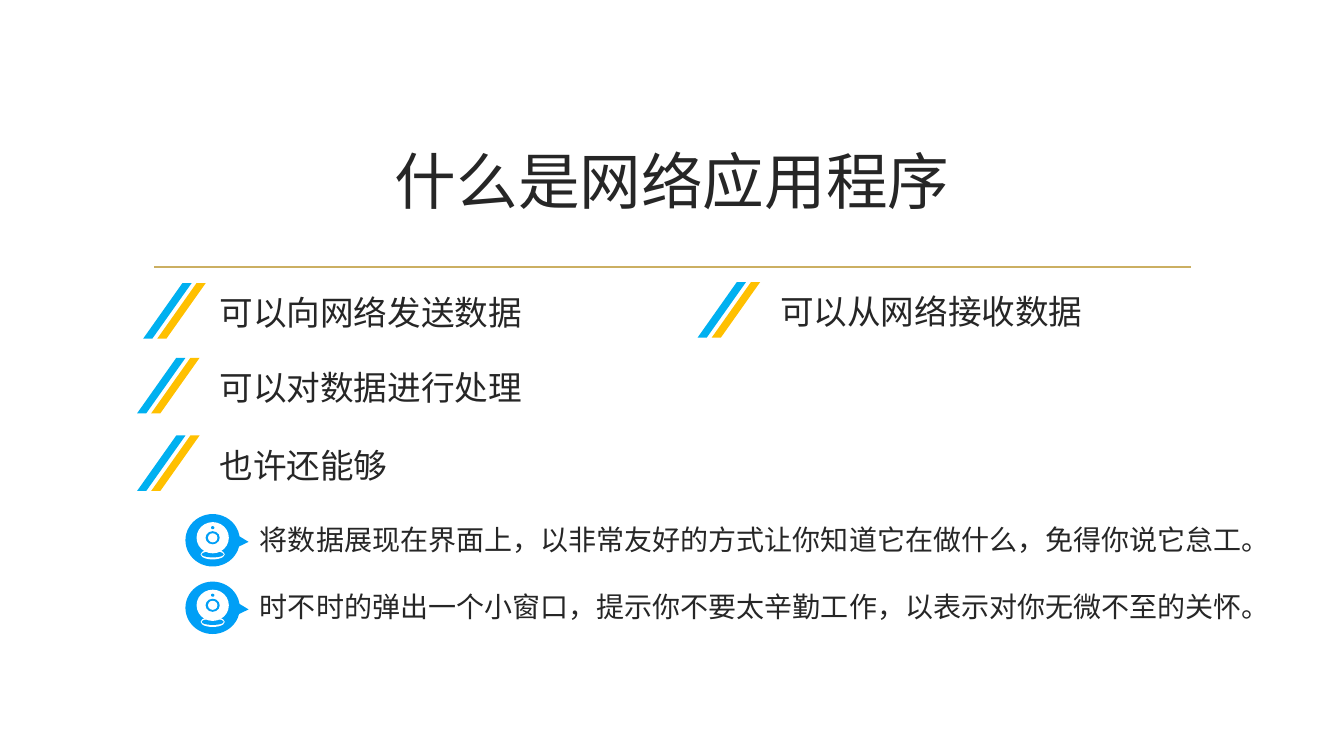
from dataclasses import dataclass

from lxml import etree
from pptx import Presentation
from pptx.dml.color import RGBColor
from pptx.enum.shapes import MSO_CONNECTOR, MSO_SHAPE
from pptx.enum.text import MSO_ANCHOR, PP_ALIGN
from pptx.oxml.ns import qn
from pptx.util import Inches, Pt

STRAIGHT = MSO_CONNECTOR.STRAIGHT
OVAL = MSO_SHAPE.OVAL
SLASH = MSO_SHAPE.PARALLELOGRAM
CALLOUT = MSO_SHAPE.OVAL_CALLOUT
MIDDLE, TOP = MSO_ANCHOR.MIDDLE, MSO_ANCHOR.TOP
LEFT, CENTER = PP_ALIGN.LEFT, PP_ALIGN.CENTER

COLORS = {
    "text": "262626",
    "rule": "CBAF62",
    "cyan": "00B0F0",
    "amber": "FFC000",
    "badge": "009FF6",
    "white": "FFFFFF",
}
SANS, SERIF = "Noto Sans CJK SC", "Times New Roman"

# The slide is a grid of 160 columns by 90 rows
COLUMNS, ROWS = 160, 90
prs = Presentation()
prs.slide_width, prs.slide_height = Inches(13.33), Inches(7.5)
slide = prs.slides.add_slide(prs.slide_layouts[6])


@dataclass(frozen=True)
class Box:
    col: float
    row: float
    cols: float
    rows: float

    def emu(self) -> tuple[int, int, int, int]:
        return (
            int(prs.slide_width * self.col / COLUMNS),
            int(prs.slide_height * self.row / ROWS),
            int(prs.slide_width * self.cols / COLUMNS),
            int(prs.slide_height * self.rows / ROWS),
        )

    def moved(self, col: float, row: float) -> "Box":
        return Box(self.col + col, self.row + row, self.cols, self.rows)


@dataclass(frozen=True)
class Ability:
    text: str
    slash_col: float
    slash_row: float
    text_col: float
    text_row: float


@dataclass(frozen=True)
class Remark:
    text: str
    row: float


def color(name: str) -> RGBColor:
    return RGBColor.from_string(COLORS[name])


def draw_shape(kind: int, box: Box, fill: str, adjustments: tuple[float, ...] = ()) -> None:
    shape = slide.shapes.add_shape(kind, *box.emu())
    shape.shadow.inherit = False
    shape.fill.solid()
    shape.fill.fore_color.rgb = color(fill)
    shape.line.fill.background()
    for index, value in enumerate(adjustments):
        shape.adjustments[index] = value


def draw_text(text: str, box: Box, size: int, font: str, align: int = LEFT,
              anchor: int = TOP, spacing: float = 1.0) -> None:
    frame = slide.shapes.add_textbox(*box.emu()).text_frame
    frame.word_wrap = True
    frame.vertical_anchor = anchor
    paragraph = frame.paragraphs[0]
    paragraph.text = text
    paragraph.alignment = align
    paragraph.line_spacing = spacing
    paragraph.font.size = Pt(size)
    paragraph.font.name = font
    paragraph.font.color.rgb = color("text")
    # Chinese glyphs take the East Asian font
    properties = paragraph._p.pPr.find(qn("a:defRPr"))
    etree.SubElement(properties, qn("a:ea"), typeface=SANS)


def draw_rule(col: float, row: float, cols: float) -> None:
    x, y, width, _ = Box(col, row, cols, 0).emu()
    rule = slide.shapes.add_connector(STRAIGHT, x, y, x + width, y)
    rule.line.color.rgb = color("rule")
    rule.line.width = Pt(1.25)
    etree.SubElement(rule._element.spPr, qn("a:effectLst"))


def draw_ability(ability: Ability) -> None:
    slash = Box(ability.slash_col, ability.slash_row, 5.76, 6.6)
    draw_shape(SLASH, slash, "cyan", (0.81,))
    draw_shape(SLASH, slash.moved(1.68, 0), "amber", (0.81,))
    draw_text(ability.text, Box(ability.text_col, ability.text_row, 49.6, 6), 24, SANS)


# Webcam parts, placed from the corner of their badge
WEBCAM = [
    (Box(1.8, 4.2, 2.88, 1.2), "white"),
    (Box(1.92, 4.44, 2.64, 0.72), "badge"),
    (Box(1.32, 0.96, 3.84, 3.72), "white"),
    (Box(2.4, 2.04, 1.68, 1.56), "badge"),
    (Box(2.68, 2.28, 1.12, 1.08), "white"),
    (Box(3.04, 1.44, 0.4, 0.36), "badge"),
]


def draw_remark(remark: Remark) -> None:
    badge = Box(22.08, remark.row, 6.48, 6.24)
    draw_shape(CALLOUT, badge, "badge", (0.66, 0.03))
    for part, fill in WEBCAM:
        draw_shape(OVAL, part.moved(badge.col, badge.row), fill)
    draw_text(remark.text, Box(29.76, remark.row, 129.6, 5.4), 20, SERIF, spacing=1.1)


ABILITIES = [
    Ability("可以向网络发送数据", 17.04, 33.72, 24.96, 34.2),
    Ability("可以从网络接收数据", 83.04, 33.6, 91.68, 34.1),
    Ability("可以对数据进行处理", 16.32, 42.6, 24.96, 43.1),
    Ability("也许还能够", 16.32, 51.84, 24.96, 52.32),
]
REMARKS = [
    Remark("将数据展现在界面上，以非常友好的方式让你知道它在做什么，免得你说它怠工。", 61.2),
    Remark("时不时的弹出一个小窗口，提示你不要太辛勤工作，以表示对你无微不至的关怀。", 69.24),
]

# Title and rule
draw_rule(18.36, 31.8, 123.4)
draw_text("什么是网络应用程序", Box(17.04, 12.84, 126, 17.16), 44, SANS, CENTER, MIDDLE)

# What a network program can do
for item in ABILITIES:
    draw_ability(item)

# Remarks with webcam badges
for item in REMARKS:
    draw_remark(item)

prs.save("out.pptx")
